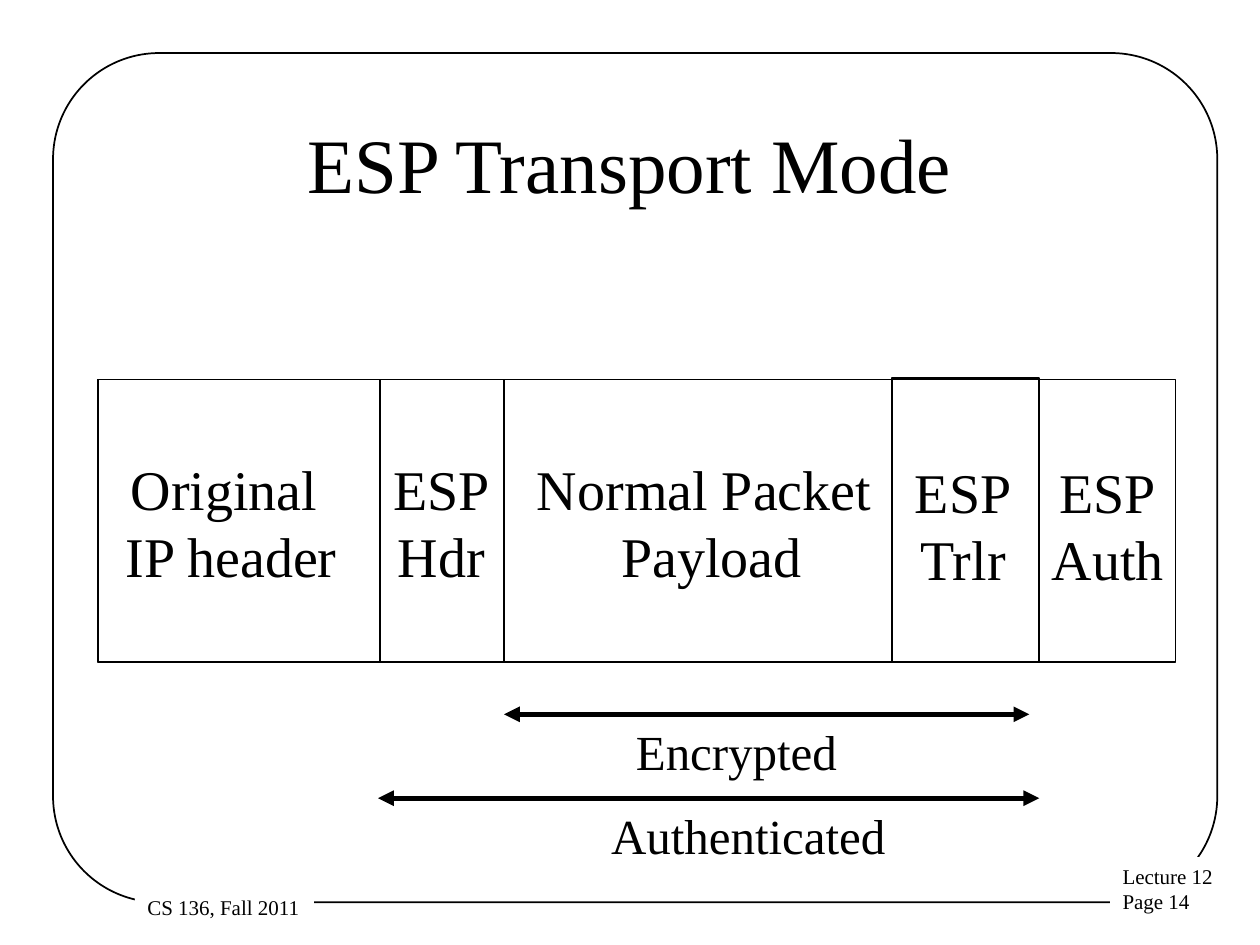
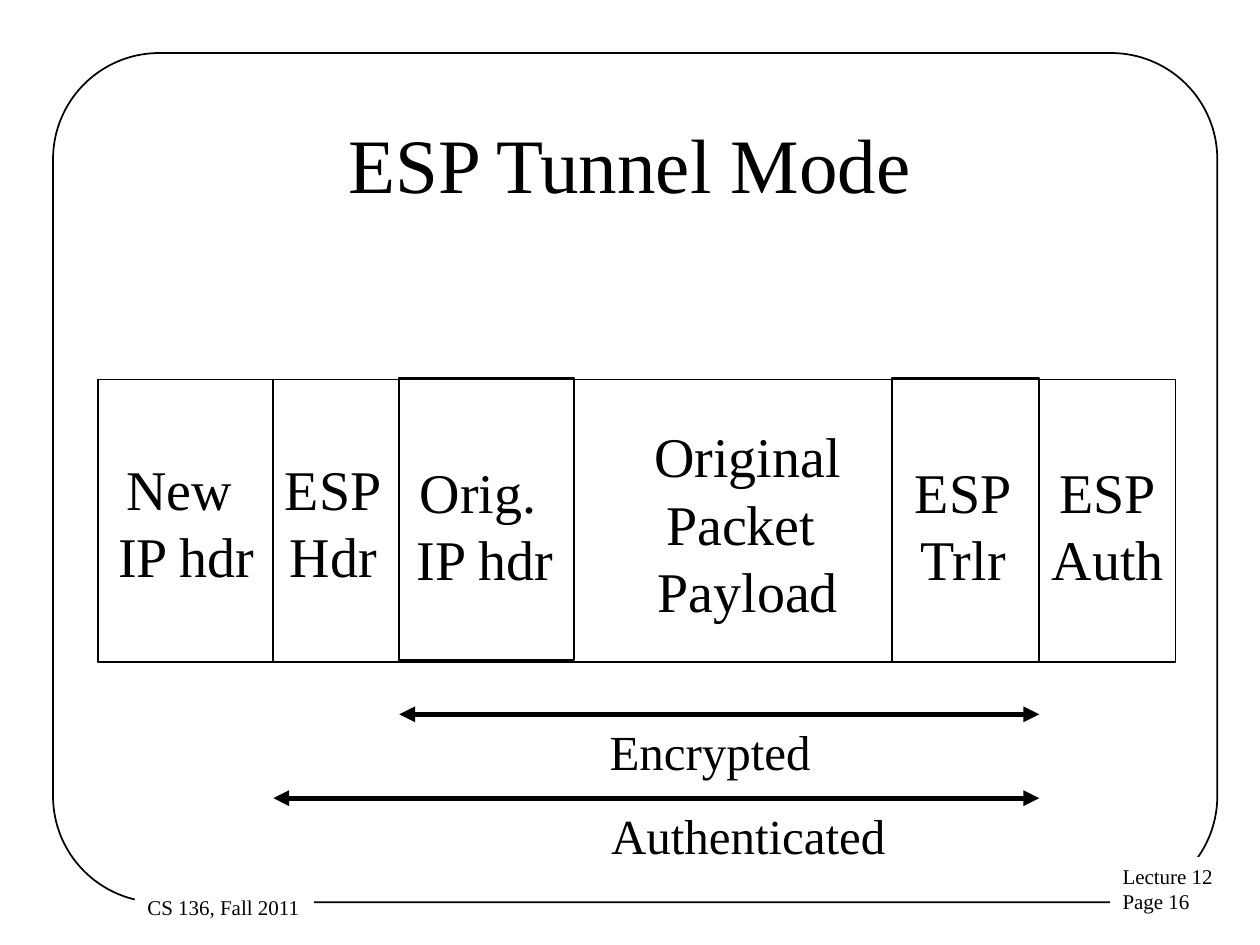
import pptx
import pptx.util
import pptx.dml.color
import pptx.enum.shapes
import pptx.enum.text
import lxml.etree

Cm = pptx.util.Cm
Pt = pptx.util.Pt
Shape = pptx.enum.shapes.MSO_SHAPE
Align = pptx.enum.text.PP_ALIGN
Anchor = pptx.enum.text.MSO_ANCHOR
Fit = pptx.enum.text.MSO_AUTO_SIZE
colors = {"ink": "000000", "paper": "FFFFFF"}
ink = pptx.dml.color.RGBColor.from_string(colors["ink"])
paper = pptx.dml.color.RGBColor.from_string(colors["paper"])
font = "Times New Roman"


def text(slide, words, place, size=32, align=Align.CENTER,
         anchor=Anchor.TOP, wrap=False, fill=None):
    box = slide.shapes.add_textbox(*map(Cm, place))
    if fill is not None:
        box.fill.solid()
        box.fill.fore_color.rgb = fill
    frame = box.text_frame
    frame.word_wrap = wrap
    frame.auto_size = Fit.NONE if wrap else Fit.SHAPE_TO_FIT_TEXT
    frame.vertical_anchor = anchor
    frame.text = words
    for para in frame.paragraphs:
        para.alignment = align
        para.font.size = Pt(size)
        para.font.name = font
        para.font.color.rgb = ink


def outline(slide, kind, place):
    shape = slide.shapes.add_shape(kind, *map(Cm, place))
    shape.shadow.inherit = False
    shape.fill.background()
    shape.line.color.rgb = ink
    shape.line.width = Pt(1)
    return shape


# Packet fields: words, outline (left, top, width, height), text (left, top, width, height)
top, tall = 7.65, 5.69
tail = [
    ("ESP\nTrlr", (17.98, 7.62, 2.97, 5.72), (18.19, 9.09, 2.46, 2.97)),
    ("ESP\nAuth", None, (20.95, 9.09, 2.77, 2.97)),
]
modes = [
    {
        "title": "ESP Transport Mode", "page": 14,
        "fields": [
            ("Original \nIP header", (1.98, top, 5.69, tall), (2.26, 9.04, 4.8, 2.97)),
            ("ESP\nHdr", (7.65, top, 2.51, tall), (7.67, 9.04, 2.46, 2.97)),
            ("Normal Packet \nPayload", None, (10.57, 9.04, 7.54, 2.97)),
        ],
        "spans": [("Encrypted", 10.16, 20.75, 12.57, 4.6),
                  ("Authenticated", 7.62, 20.95, 12.07, 6.05)],
    },
    {
        "title": "ESP Tunnel Mode", "page": 16,
        "fields": [
            ("New \nIP hdr", (1.98, top, 3.53, tall), (2.11, 9.04, 3.3, 2.97)),
            ("ESP\nHdr", (5.51, top, 2.54, tall), (5.49, 9.04, 2.46, 2.97)),
            ("Orig. \nIP hdr", (8.05, 7.62, 3.53, tall), (8.13, 9.09, 3.3, 2.97)),
            ("Original\nPacket \nPayload", None, (12.93, 8.38, 4.29, 4.32)),
        ],
        "spans": [("Encrypted", 8.05, 20.95, 12.04, 4.6),
                  ("Authenticated", 5.51, 20.95, 12.07, 6.05)],
    },
]

deck = pptx.Presentation()
deck.slide_width, deck.slide_height = Cm(25.4), Cm(19.05)

for mode in modes:
    slide = deck.slides.add_slide(deck.slide_layouts[6])

    # Frame, footers and title
    frame = outline(slide, Shape.ROUNDED_RECTANGLE, (1.07, 1.07, 23.47, 17.12))
    frame.adjustments[0] = 0.125
    for words, place in [
        (f"Lecture 12\nPage {mode['page']}", (22.38, 17.28, 3.23, 1.27)),
        ("CS 136, Fall 2011", (2.72, 17.91, 3.61, 0.76)),
    ]:
        text(slide, words, place, size=12, align=Align.LEFT, wrap=True, fill=paper)
    text(slide, mode["title"], (1.9, 1.7, 21.59, 3.18), size=44,
         anchor=Anchor.MIDDLE, wrap=True)

    # Packet and its fields
    outline(slide, Shape.RECTANGLE, (1.98, top, 21.72, tall))
    for words, cell, place in mode["fields"] + tail:
        if cell:
            outline(slide, Shape.RECTANGLE, cell)
        text(slide, words, place)

    # Protected spans
    for row, (words, start, end, left, wide) in enumerate(mode["spans"]):
        level = 14.4 + 1.69 * row
        arrow = slide.shapes.add_connector(
            pptx.enum.shapes.MSO_CONNECTOR.STRAIGHT,
            Cm(start), Cm(level), Cm(end), Cm(level))
        arrow.line.color.rgb = ink
        arrow.line.width = Pt(3)
        line = arrow.line._get_or_add_ln()
        space = "{" + line.nsmap["a"] + "}"
        for tip in ("headEnd", "tailEnd"):
            lxml.etree.SubElement(line, space + tip, type="triangle")
        lxml.etree.SubElement(line.getparent(), space + "effectLst")
        text(slide, words, (left, level + 0.03, wide, 1.45), size=28, align=Align.LEFT)

deck.save("out.pptx")
